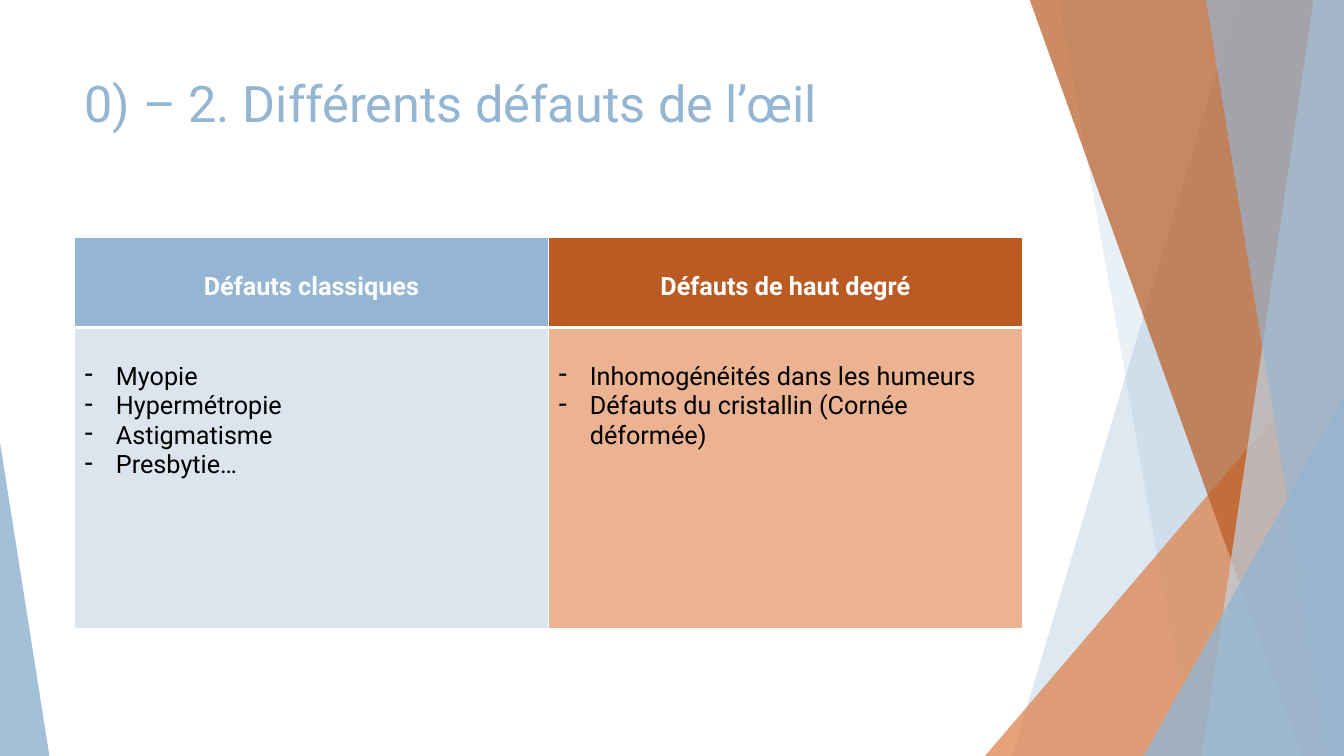
from lxml import etree
from pptx import Presentation
from pptx.dml.color import RGBColor
from pptx.enum.shapes import MSO_CONNECTOR, MSO_SHAPE
from pptx.enum.text import MSO_ANCHOR, PP_ALIGN
from pptx.oxml.ns import qn
from pptx.util import Pt

LINE, TRIANGLE = MSO_CONNECTOR.STRAIGHT, MSO_SHAPE.ISOSCELES_TRIANGLE
TOP, LEFT, CENTER = MSO_ANCHOR.TOP, PP_ALIGN.LEFT, PP_ALIGN.CENTER

PX = 9144  # 100 px to the inch
WIDTH, HEIGHT = 1333, 750
FONT = "Roboto"
WHITE, BLACK, BLUE, RUST = "FFFFFF", "000000", "94B6D2", "B95B22"

TITLE = "0) – 2. Différents défauts de l’œil"
TITLE_BOX = (74, 67, 940, 144)
TABLE_BOX = (74, 236, 940, 388)
ROWS = (89, 299)
TOP_GAP, INDENT = 34, 31
# heading, heading fill, body fill, items
COLUMNS = [
    ("Défauts classiques", BLUE, "DCE5EE",
     ["Myopie", "Hypermétropie", "Astigmatisme", "Presbytie…"]),
    ("Défauts de haut degré", RUST, "EBB391",
     ["Inhomogénéités dans les humeurs",
      "Défauts du cristallin (Cornée déformée)"]),
]

RAYS = [((1025, 0), (1158, 750)), ((1333, 403), (812, 750))]
# Bands run to the right edge: top left x, bottom left x, colour, opacity
# Peaks are right triangles: box, tip position, colour, opacity
DECOR = [
    ("band", (1228, 1004), BLUE, 30),
    ("band", (1050, 1183), BLUE, 20),
    ("peak", (977, 333, 356, 417, 1), "DD8047", 72),
    ("band", (1021, 1291), RUST, 70),
    ("band", (1303, 1192), "BFD3E4", 70),
    ("band", (1196, 1318), BLUE, 65),
    ("peak", (1134, 393, 199, 357, 1), BLUE, 80),
    ("peak", (0, 439, 49, 311, 0), BLUE, 85),
]


def emu(values):
    return [v * PX for v in values]


def rgb(code):
    return RGBColor.from_string(code)


def paint(fill, color):
    fill.solid()
    fill.fore_color.rgb = rgb(color)


def style(para, size, color, bold=False, align=LEFT):
    para.alignment = align
    font = para.font
    font.name, font.size, font.bold = FONT, Pt(size), bold
    font.color.rgb = rgb(color)


def add_ray(start, end):
    ray = slide.shapes.add_connector(LINE, *emu(start + end))
    ray.line.color.rgb = rgb(WHITE)
    ray.line.width = Pt(0.75)
    etree.SubElement(ray._element.spPr, qn("a:effectLst"))


def add_decor(kind, place, color, alpha):
    if kind == "band":
        top, base = place
        pen = slide.shapes.build_freeform(top, -1, scale=PX)
        pen.add_line_segments(
            [(WIDTH, -1), (WIDTH, HEIGHT), (base, HEIGHT)], close=True)
        shape = pen.convert_to_shape()
    else:
        *box, tip = place
        shape = slide.shapes.add_shape(TRIANGLE, *emu(box))
        shape.adjustments[0] = tip
    shape.shadow.inherit = False
    shape.line.fill.background()
    paint(shape.fill, color)
    tint = shape._element.spPr.find(qn("a:solidFill"))[0]
    etree.SubElement(tint, qn("a:alpha"), val=str(alpha * 1000))


def add_edges(cell, top, base):
    """Draw white cell borders; top and base are widths in points."""
    props = cell._tc.get_or_add_tcPr()
    for side, width in (("L", 1), ("R", 1), ("T", top), ("B", base)):
        edge = etree.SubElement(props, qn(f"a:ln{side}"), w=str(Pt(width)))
        fill = etree.SubElement(edge, qn("a:solidFill"))
        etree.SubElement(fill, qn("a:srgbClr"), val=WHITE)


def add_dash(para):
    props = para._p.get_or_add_pPr()
    props.set("marL", str(INDENT * PX))
    props.set("indent", str(-INDENT * PX))
    etree.SubElement(props, qn("a:buFontTx"))
    etree.SubElement(props, qn("a:buChar"), char="-")


def fill_cell(cell, lines, color):
    cell.margin_top = TOP_GAP * PX
    cell.text = "\n".join(lines)
    paint(cell.fill, color)
    return cell.text_frame.paragraphs


deck = Presentation()
deck.slide_width, deck.slide_height = emu((WIDTH, HEIGHT))
slide = deck.slides.add_slide(deck.slide_layouts[5])

for start, end in RAYS:
    add_ray(start, end)
for item in DECOR:
    add_decor(*item)

title = slide.shapes.title
title.left, title.top, title.width, title.height = emu(TITLE_BOX)
title.text = TITLE
title.text_frame.vertical_anchor = TOP
style(title.text_frame.paragraphs[0], 36, BLUE)

table = slide.shapes.add_table(
    len(ROWS), len(COLUMNS), *emu(TABLE_BOX)).table
for row, height in zip(table.rows, ROWS):
    row.height = height * PX
for col, (name, dark, light, items) in enumerate(COLUMNS):
    head, body = table.cell(0, col), table.cell(1, col)
    add_edges(head, 1, 3)
    add_edges(body, 3, 1)
    for para in fill_cell(head, [name], dark):
        style(para, 18, WHITE, True, CENTER)
    for para in fill_cell(body, items, light):
        style(para, 18, BLACK)
        add_dash(para)

deck.save("out.pptx")
